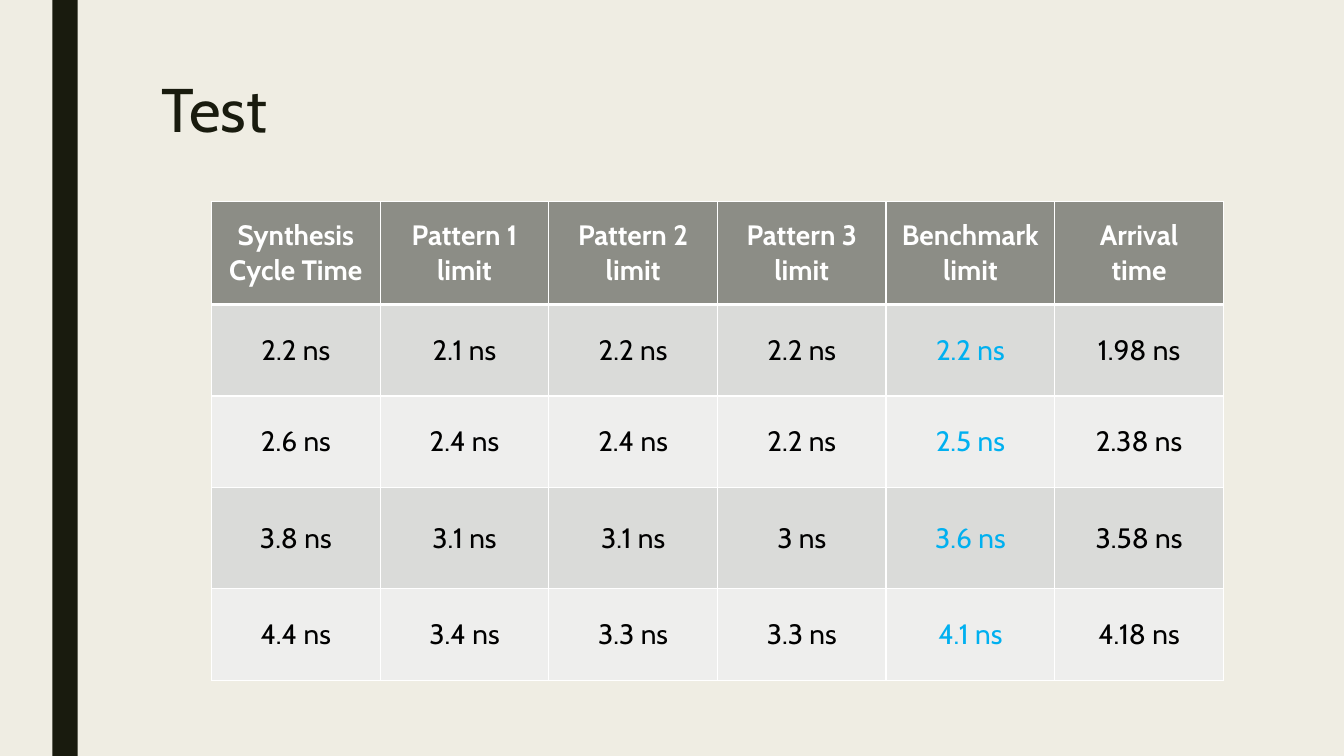
from lxml import etree
from pptx import Presentation
from pptx import util as u
from pptx.dml.color import RGBColor
from pptx.enum import shapes, text
from pptx.oxml.ns import qn

CREAM = RGBColor(0xEF, 0xED, 0xE3)
INK = RGBColor(0x19, 0x1B, 0x0E)
HEADER_GREY = RGBColor(0x8C, 0x8D, 0x86)
BAND_DARK = RGBColor(0xDA, 0xDB, 0xD9)
BAND_LIGHT = RGBColor(0xEE, 0xEE, 0xED)
WHITE = RGBColor(0xFF, 0xFF, 0xFF)
BLACK = RGBColor(0, 0, 0)
BLUE = RGBColor(0x00, 0xB0, 0xF0)

HEADERS = ["Synthesis\nCycle Time", "Pattern 1\nlimit", "Pattern 2\nlimit",
           "Pattern 3\nlimit", "Benchmark\nlimit", "Arrival\ntime"]
TIMINGS = [
    ["2.2 ns", "2.1 ns", "2.2 ns", "2.2 ns", "2.2 ns", "1.98 ns"],
    ["2.6 ns", "2.4 ns", "2.4 ns", "2.2 ns", "2.5 ns", "2.38 ns"],
    ["3.8 ns", "3.1 ns", "3.1 ns", "3 ns", "3.6 ns", "3.58 ns"],
    ["4.4 ns", "3.4 ns", "3.3 ns", "3.3 ns", "4.1 ns", "4.18 ns"],
]
BENCHMARK_COLUMN = 4
COLUMN_WIDTH = 4.25
ROW_HEIGHTS = [2.59, 2.31, 2.31, 2.54, 2.31]


def write(frame, words, font, size, color, bold=False,
          align=text.PP_ALIGN.LEFT, spacing=None):
    """Fill a text frame with one paragraph per line of words."""
    for index, line in enumerate(words.split("\n")):
        para = frame.add_paragraph() if index else frame.paragraphs[0]
        para.alignment = align
        if spacing:
            para.line_spacing = spacing
        span = para.add_run()
        span.text = line
        span.font.name = font
        span.font.size = u.Pt(size)
        span.font.bold = bold
        span.font.color.rgb = color


def set_borders(cell, widths):
    """Draw white borders; widths gives points for left, right, top, bottom."""
    properties = cell._tc.get_or_add_tcPr()
    for side, width in zip("LRTB", widths):
        line = etree.SubElement(properties, qn(f"a:ln{side}"), w=str(u.Pt(width)))
        fill = etree.SubElement(line, qn("a:solidFill"))
        etree.SubElement(fill, qn("a:srgbClr"), val=str(WHITE))


class SlideBuilder:
    def __init__(self, page, font):
        self.page = page
        self.font = font

    def background(self, color):
        fill = self.page.background.fill
        fill.solid()
        fill.fore_color.rgb = color

    def bar(self, left, top, width, height, color):
        box = self.page.shapes.add_shape(
            shapes.MSO_SHAPE.RECTANGLE, u.Cm(left), u.Cm(top), u.Cm(width), u.Cm(height))
        box.shadow.inherit = False
        box.fill.solid()
        box.fill.fore_color.rgb = color
        box.line.fill.background()

    def title(self, words, left, top, width, height):
        box = self.page.shapes.add_textbox(
            u.Cm(left), u.Cm(top), u.Cm(width), u.Cm(height))
        box.text_frame.word_wrap = True
        write(box.text_frame, words, self.font, 44, INK, spacing=0.89)

    def cell(self, cell, words, fill, color, bold, borders):
        set_borders(cell, borders)
        cell.fill.solid()
        cell.fill.fore_color.rgb = fill
        cell.vertical_anchor = text.MSO_ANCHOR.MIDDLE
        write(cell.text_frame, words, self.font, 20, color, bold,
              align=text.PP_ALIGN.CENTER)

    def timing_table(self, left, top):
        rows = [HEADERS] + TIMINGS
        table = self.page.shapes.add_table(
            len(rows), len(HEADERS), u.Cm(left), u.Cm(top),
            u.Cm(COLUMN_WIDTH * len(HEADERS)), u.Cm(sum(ROW_HEIGHTS))).table
        for column in table.columns:
            column.width = u.Cm(COLUMN_WIDTH)
        for r, values in enumerate(rows):
            table.rows[r].height = u.Cm(ROW_HEIGHTS[r])
            is_header = r == 0
            band = BAND_DARK if r % 2 else BAND_LIGHT
            fill = HEADER_GREY if is_header else band
            borders = (1, 1, 3 if r == 1 else 1, 3 if is_header else 1)
            for c, words in enumerate(values):
                body_color = BLUE if c == BENCHMARK_COLUMN else BLACK
                color = WHITE if is_header else body_color
                self.cell(table.cell(r, c), words, fill, color, is_header, borders)


def main():
    deck = Presentation()
    deck.slide_width = u.Cm(33.87)
    deck.slide_height = u.Cm(19.05)
    builder = SlideBuilder(deck.slides.add_slide(deck.slide_layouts[6]), "Cabin")
    builder.background(CREAM)
    builder.bar(1.32, 0, 0.64, 19.05, INK)
    builder.title("Test", 3.81, 1.9, 26.67, 4.11)
    builder.timing_table(5.33, 5.08)
    deck.save("out.pptx")


if __name__ == "__main__":
    main()
